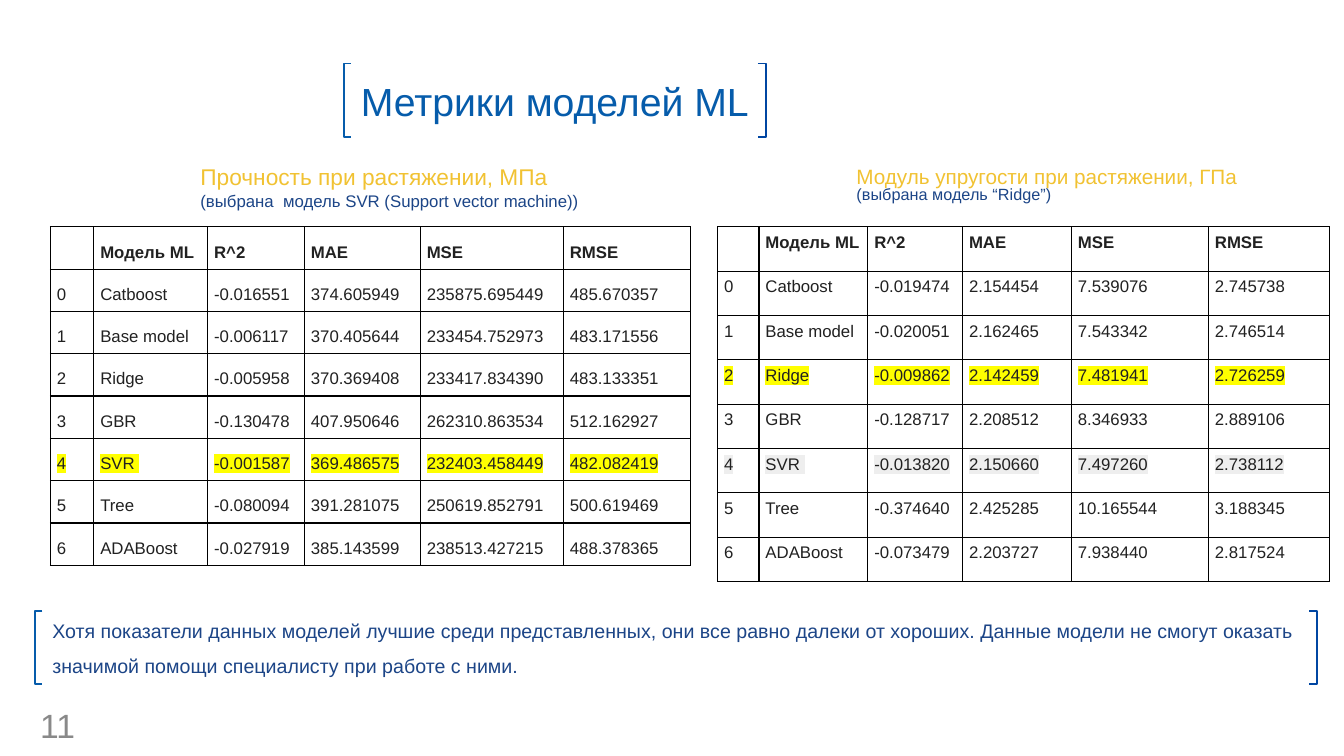
from pptx import Presentation
from pptx.dml.color import RGBColor
from pptx.enum.text import MSO_ANCHOR as Anchor, MSO_AUTO_SIZE as AutoSize, PP_ALIGN as Align
from pptx.oxml import parse_xml
from pptx.oxml.ns import nsdecls, qn
from pptx.util import Emu, Pt

PX = 4572  # 200 px per inch
FONT = "Arial"
COLORS = {
    "title": "065CAB", "bracket": "0046A2", "heading": "F1C232", "note": "1C4587",
    "cell": "212121", "number": "898989", "border": "000000",
    "chosen": "FFFF00", "muted": "EEEEEE",
}
HEADER = ["", "Модель ML", "R^2", "MAE", "MSE", "RMSE"]
MODELS = ["Catboost", "Base model", "Ridge", "GBR", "SVR ", "Tree", "ADABoost"]
STRENGTH = [
    ["-0.016551", "374.605949", "235875.695449", "485.670357"],
    ["-0.006117", "370.405644", "233454.752973", "483.171556"],
    ["-0.005958", "370.369408", "233417.834390", "483.133351"],
    ["-0.130478", "407.950646", "262310.863534", "512.162927"],
    ["-0.001587", "369.486575", "232403.458449", "482.082419"],
    ["-0.080094", "391.281075", "250619.852791", "500.619469"],
    ["-0.027919", "385.143599", "238513.427215", "488.378365"],
]
ELASTICITY = [
    ["-0.019474", "2.154454", "7.539076", "2.745738"],
    ["-0.020051", "2.162465", "7.543342", "2.746514"],
    ["-0.009862", "2.142459", "7.481941", "2.726259"],
    ["-0.128717", "2.208512", "8.346933", "2.889106"],
    ["-0.013820", "2.150660", "7.497260", "2.738112"],
    ["-0.374640", "2.425285", "10.165544", "3.188345"],
    ["-0.073479", "2.203727", "7.938440", "2.817524"],
]
CONCLUSION = (
    "Хотя показатели данных моделей лучшие среди представленных, они все равно далеки "
    "от хороших. Данные модели не смогут оказать значимой помощи специалисту при работе с ними."
)


def px(value):
    return Emu(value * PX)


def write(para, text, size, color, bold=False, align=None, spacing=None, highlight=None):
    para.alignment = align
    para.line_spacing = spacing
    span = para.add_run()
    span.text = text
    font = span.font
    font.name, font.size, font.bold = FONT, Pt(size), bold
    font.color.rgb = RGBColor.from_string(COLORS[color])
    if highlight:
        mark = parse_xml(f'<a:highlight {nsdecls("a")}><a:srgbClr val="{COLORS[highlight]}"/></a:highlight>')
        span._r.get_or_add_rPr().find(qn("a:solidFill")).addnext(mark)


def add_text_box(page, left, top, width, height, anchor=Anchor.TOP):
    frame = page.shapes.add_textbox(px(left), px(top), px(width), px(height)).text_frame
    frame.word_wrap = True
    frame.vertical_anchor = anchor
    return frame


def add_title(page, text, left, top, width, height):
    title = page.shapes.title
    title.left, title.top, title.width, title.height = map(px, (left, top, width, height))
    frame = title.text_frame
    frame.word_wrap, frame.auto_size = True, AutoSize.NONE
    frame.vertical_anchor = Anchor.MIDDLE
    write(frame.paragraphs[0], text, 28, "title", align=Align.CENTER)


def add_heading(page, left, top, width, height, heading, note, sizes, spacing=None):
    frame = add_text_box(page, left, top, width, height)
    look = {"align": Align.JUSTIFY, "spacing": spacing}
    write(frame.paragraphs[0], heading, sizes[0], "heading", **look)
    write(frame.add_paragraph(), note, sizes[1], "note", **look)


def add_bracket(page, edge, top, arm, color, height=146):
    """Draw a square bracket; a negative arm opens it to the left."""
    points = [(edge, top), (edge, top + height), (edge + arm, top + height)]
    builder = page.shapes.build_freeform(edge + arm, top, scale=PX)
    builder.add_line_segments(points, close=False)
    bracket = builder.convert_to_shape()
    bracket.shadow.inherit = False
    bracket.fill.background()
    bracket.line.color.rgb = RGBColor.from_string(COLORS[color])
    bracket.line.width = Pt(1.3)


def add_bracket_pair(page, left, right, top):
    add_bracket(page, left, top, 14, "title")
    add_bracket(page, right, top, -16, "bracket")


def format_cell(cell):
    cell.margin_left = cell.margin_right = cell.margin_top = px(13)
    cell.margin_bottom = px(10)
    cell.fill.background()
    for index, side in enumerate("LRTB"):
        border = parse_xml(
            f'<a:ln{side} {nsdecls("a")} w="{Pt(1)}"><a:solidFill>'
            f'<a:srgbClr val="{COLORS["border"]}"/></a:solidFill></a:ln{side}>'
        )
        cell._tc.get_or_add_tcPr().insert(index, border)


def add_metrics(page, left, top, widths, row_height, metrics, marks, spacing=None):
    rows = [HEADER] + [[str(i), model, *values] for i, (model, values) in enumerate(zip(MODELS, metrics))]
    table = page.shapes.add_table(
        len(rows), len(widths), px(left), px(top), px(sum(widths)), px(row_height * len(rows))
    ).table
    table.first_row = table.horz_banding = False
    for column, width in zip(table.columns, widths):
        column.width = px(width)
    for r, texts in enumerate(rows):
        table.rows[r].height = px(row_height)
        for c, text in enumerate(texts):
            cell = table.cell(r, c)
            format_cell(cell)
            if text:
                write(cell.text_frame.paragraphs[0], text, 12, "cell", bold=r == 0,
                      spacing=spacing, highlight=marks.get(r - 1))


def main():
    deck = Presentation()
    deck.slide_width, deck.slide_height = px(2667), px(1500)
    page = deck.slides.add_slide(deck.slide_layouts[5])

    # Title
    add_title(page, "Метрики моделей ML", 682, 128, 838, 146)
    add_bracket_pair(page, 682, 1520, 126)

    # Tensile strength
    add_heading(page, 378, 314, 838, 120, "Прочность при растяжении, МПа",
                "(выбрана  модель SVR (Support vector machine))", (16.2, 12))
    add_metrics(page, 100, 450, [86, 226, 192, 230, 284, 252], 84, STRENGTH,
                {4: "chosen"}, spacing=1.5)

    # Elastic modulus
    add_heading(page, 1680, 324, 888, 96, "Модуль упругости при растяжении, ГПа",
                "(выбрана модель “Ridge”)", (14.8, 11.6), spacing=0.8)
    add_metrics(page, 1424, 450, [82, 216, 188, 216, 272, 240], 88, ELASTICITY,
                {2: "chosen", 4: "muted"})

    # Conclusion
    conclusion = add_text_box(page, 84, 1202, 2522, 146, Anchor.MIDDLE)
    write(conclusion.paragraphs[0], CONCLUSION, 14, "note", spacing=1.5)
    add_bracket_pair(page, 70, 2614, 1212)

    # Page number
    number = add_text_box(page, 60, 1408, 124, 60, Anchor.MIDDLE)
    write(number.paragraphs[0], "11", 24, "number")

    deck.save("out.pptx")


if __name__ == "__main__":
    main()
